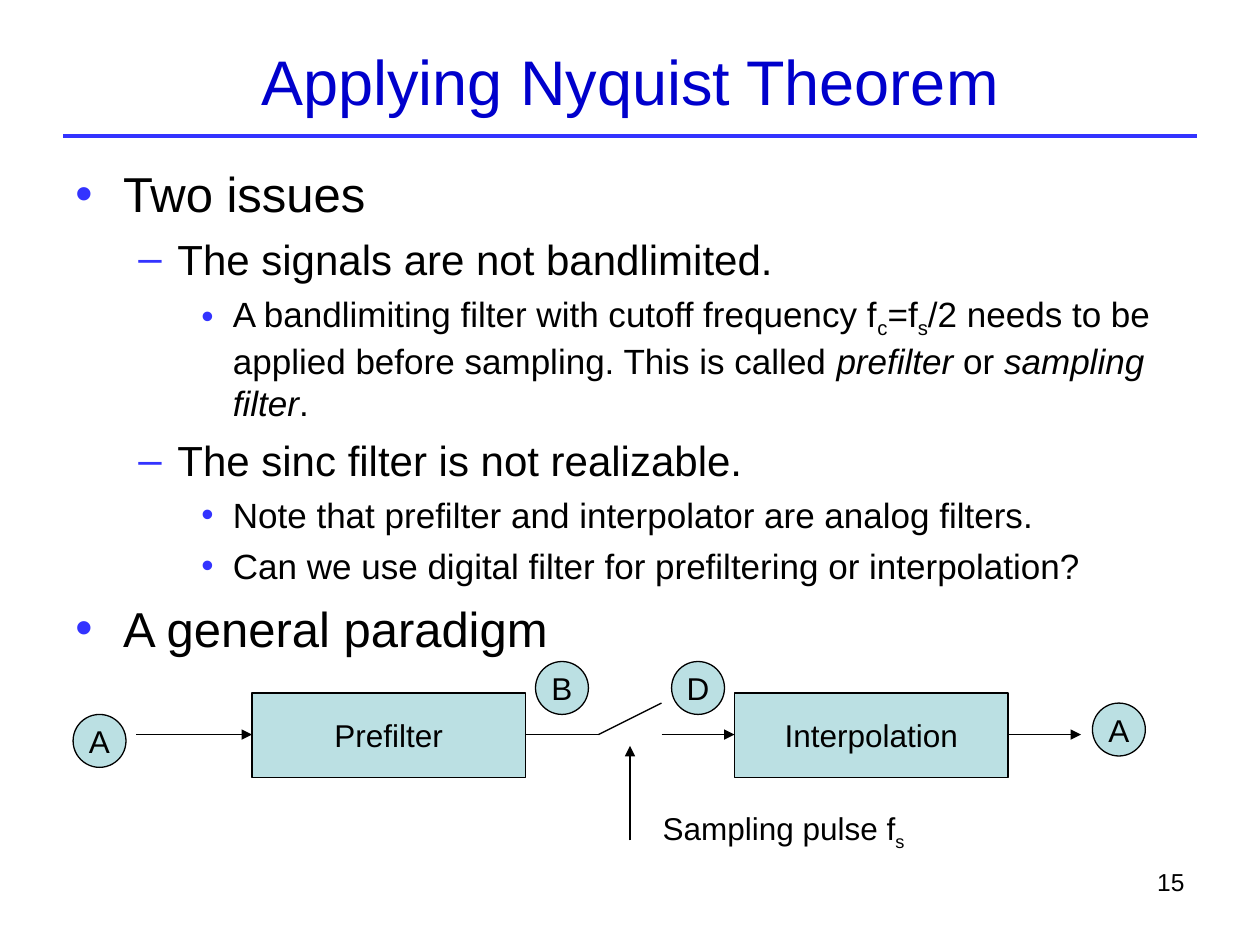
from lxml import etree
from pptx import Presentation
from pptx import util as u
from pptx.dml.color import RGBColor
from pptx.enum import shapes, text
from pptx.oxml.ns import qn

BLACK, BLUE, RULE, PALE = "000000", "0000CC", "3333FF", "BBE0E3"
# level: size, space before, left edge, hanging indent, bullet
LEVELS = [(28, 7, 0.38, 0.38, "•"), (24, 6, 0.81, 0.31, "–"), (20, 5, 1.25, 0.25, "•")]
PLAIN, SUB, ITALIC = "plain", "sub", "italic"
POINTS = [
    (0, [("Two issues", PLAIN)]),
    (1, [("The signals are not bandlimited.", PLAIN)]),
    (2, [("A bandlimiting filter with cutoff frequency f", PLAIN), ("c", SUB), ("=f", PLAIN),
         ("s", SUB), ("/2 needs to be applied before sampling. This is called ", PLAIN),
         ("prefilter", ITALIC), (" or ", PLAIN), ("sampling filter", ITALIC), (".", PLAIN)]),
    (1, [("The sinc filter is not realizable.", PLAIN)]),
    (2, [("Note that prefilter and interpolator are analog filters.", PLAIN)]),
    (2, [("Can we use digital filter for prefiltering or interpolation?", PLAIN)]),
    (0, [("A general paradigm", PLAIN)]),
]


def colour(value):
    return RGBColor.from_string(value)


def inches(*values):
    return [u.Inches(value) for value in values]


def write(para, spans, size, ink=BLACK, align=text.PP_ALIGN.LEFT):
    para.alignment = align
    for words, style in spans:
        span = para.add_run()
        span.text = words
        formats = {"name": "Arial", "size": u.Pt(size), "italic": style == ITALIC}
        for name, value in formats.items():
            setattr(span.font, name, value)
        span.font.color.rgb = colour(ink)
        if style == SUB:
            span.font._element.set("baseline", "-25000")


def set_frame(frame, anchor=text.MSO_ANCHOR.TOP, wrap=True):
    formats = {"margin_left": u.Inches(0.1), "margin_right": u.Inches(0.1),
               "margin_top": u.Inches(0.05), "margin_bottom": u.Inches(0.05),
               "vertical_anchor": anchor, "word_wrap": wrap,
               "auto_size": text.MSO_AUTO_SIZE.NONE}
    for name, value in formats.items():
        setattr(frame, name, value)


def add_label(page, box, spans, size, align=text.PP_ALIGN.LEFT, wrap=True):
    frame = page.shapes.add_textbox(*inches(*box)).text_frame
    set_frame(frame, wrap=wrap)
    write(frame.paragraphs[0], spans, size, align=align)


def add_line(page, start, end, ink=BLACK, width=0.75, arrow=False):
    line = page.shapes.add_connector(shapes.MSO_CONNECTOR.STRAIGHT, *inches(*start, *end))
    line.line.color.rgb = colour(ink)
    line.line.width = u.Pt(width)
    if arrow:
        etree.SubElement(line.line._get_or_add_ln(), qn("a:tailEnd"), type="triangle")
    etree.SubElement(line._element.spPr, qn("a:effectLst"))


def add_node(page, kind, box, words):
    node = page.shapes.add_shape(kind, *inches(*box))
    node.shadow.inherit = False
    node.fill.solid()
    node.fill.fore_color.rgb = colour(PALE)
    node.line.color.rgb = colour(BLACK)
    node.line.width = u.Pt(0.75)
    set_frame(node.text_frame, text.MSO_ANCHOR.MIDDLE, wrap=False)
    write(node.text_frame.paragraphs[0], [(words, PLAIN)], 18, align=text.PP_ALIGN.CENTER)


def add_title(page, box, words):
    """Title with the rule below it."""
    left, top, width, height = box
    title = page.shapes.title
    title.left, title.top, title.width, title.height = inches(*box)
    set_frame(title.text_frame, text.MSO_ANCHOR.MIDDLE)
    write(title.text_frame.paragraphs[0], [(words, PLAIN)], 36, BLUE, text.PP_ALIGN.CENTER)
    rule = top + height + 0.05
    add_line(page, (left, rule), (left + width, rule), RULE, 2.25)


def add_bullets(page, box, points):
    frame = page.shapes.add_textbox(*inches(*box)).text_frame
    set_frame(frame)
    for index, (level, spans) in enumerate(points):
        size, before, left, hang, mark = LEVELS[level]
        para = frame.add_paragraph() if index else frame.paragraphs[0]
        para.level = level
        para.space_before = u.Pt(before if index else 0)
        props = para._element.get_or_add_pPr()
        props.set("marL", str(u.Inches(left)))
        props.set("indent", str(-u.Inches(hang)))
        ink = etree.SubElement(props, qn("a:buClr"))
        etree.SubElement(ink, qn("a:srgbClr"), val=RULE)
        etree.SubElement(props, qn("a:buFont"), typeface="Arial")
        etree.SubElement(props, qn("a:buChar"), char=mark)
        write(para, spans, size)


def add_sampling_chain(page, box):
    """Prefilter, sampling switch and interpolation, left to right."""
    left, top, width, height = box
    block_width, block_height, dot = 2.17, 0.67, 0.42
    block_top, wire = top + 0.25, top + 0.58
    for x, words in [(1.42, "Prefilter"), (5.25, "Interpolation")]:
        add_node(page, shapes.MSO_SHAPE.RECTANGLE,
                 (left + x, block_top, block_width, block_height), words)
    for x, y, words in [(0, 0.42, "A"), (3.67, 0, "B"), (4.75, 0, "D"),
                        (width - dot, 0.33, "A")]:
        add_node(page, shapes.MSO_SHAPE.OVAL, (left + x, top + y, dot, dot), words)
    for start, end, arrow in [(0.5, 1.42, True), (3.59, 4.17, False),
                              (4.67, 5.25, True), (7.42, 8, True)]:
        add_line(page, (left + start, wire), (left + end, wire), arrow=arrow)
    add_line(page, (left + 4.17, wire), (left + 4.67, wire - 0.25))
    pulse = left + 4.42
    add_line(page, (pulse, top + height), (pulse, wire + 0.09), arrow=True)
    add_label(page, (pulse + 0.16, top + 1.12, 2.12, 0.44),
              [("Sampling pulse f", PLAIN), ("s", SUB)], 18, wrap=False)


def main():
    deck = Presentation()
    deck.slide_width, deck.slide_height = inches(10, 7.5)
    page = deck.slides.add_slide(deck.slide_layouts[5])
    add_title(page, (0.5, 0.25, 9, 0.78), "Applying Nyquist Theorem")
    add_bullets(page, (0.5, 1.25, 9, 5.45), POINTS)
    add_sampling_chain(page, (0.58, 5.25, 8.51, 1.42))
    add_label(page, (7.17, 6.83, 2.33, 0.52), [("15", PLAIN)], 14, text.PP_ALIGN.RIGHT)
    deck.save("out.pptx")


if __name__ == "__main__":
    main()
